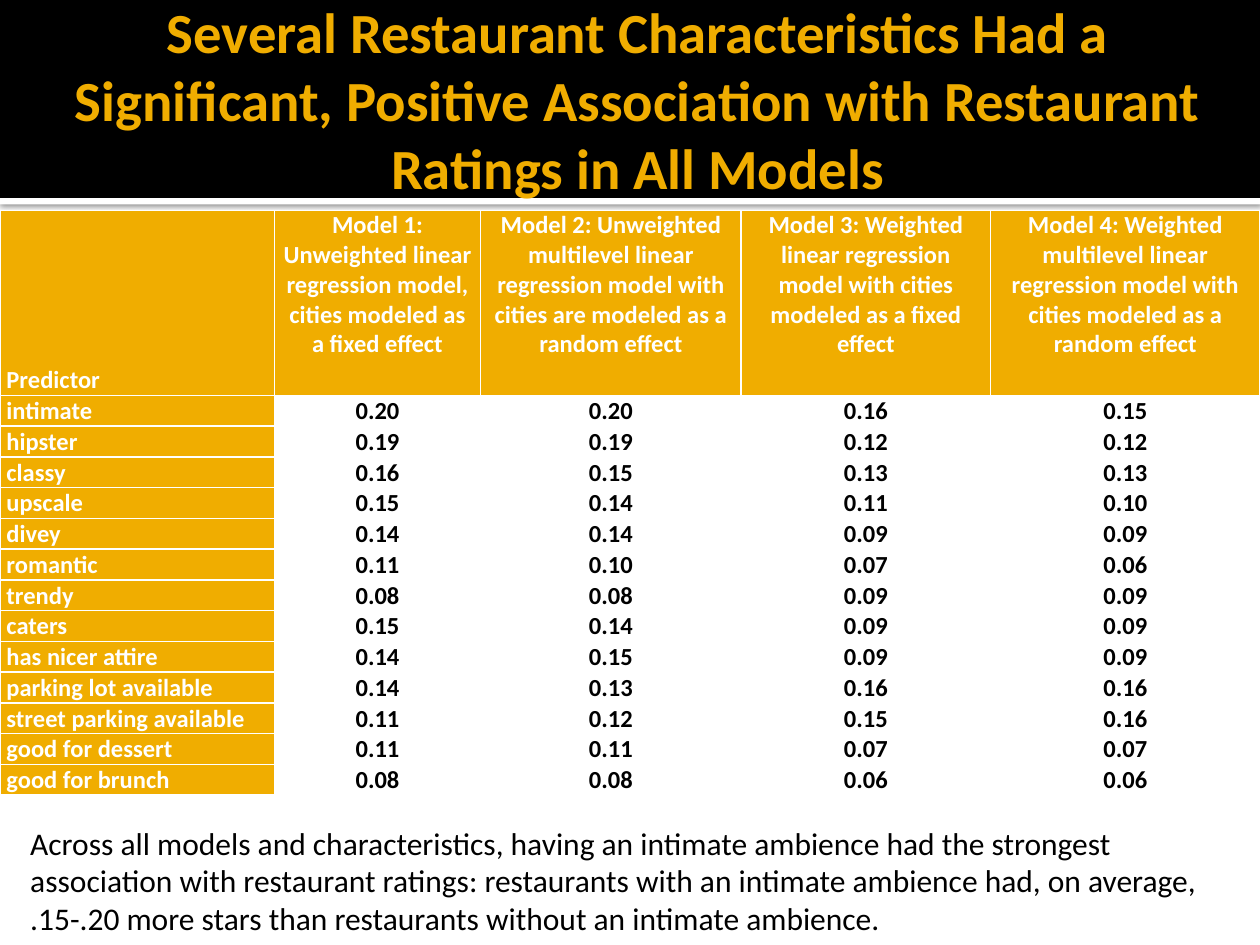
import pptx
import pptx.util
import pptx.dml.color
import pptx.enum.shapes
import pptx.enum.text
import pptx.oxml
import pptx.oxml.ns

Cm = pptx.util.Cm
ALIGN = pptx.enum.text.PP_ALIGN
ANCHOR = pptx.enum.text.MSO_ANCHOR
COLOURS = {"gold": "F0AD00", "black": "000000", "white": "FFFFFF"}


def colour(name):
    return pptx.dml.color.RGBColor.from_string(COLOURS[name])


def write(frame, text, size=14, ink="black", bold=False, align=ALIGN.LEFT):
    frame.word_wrap = True
    para = frame.paragraphs[0]
    para.alignment = align
    span = para.add_run()
    span.text = text
    span.font.name = "Calibri"
    span.font.size = pptx.util.Pt(size)
    span.font.bold = bold
    span.font.color.rgb = colour(ink)


deck = pptx.Presentation()
deck.slide_width, deck.slide_height = Cm(25.4), Cm(19.05)
page = deck.slides.add_slide(deck.slide_layouts[6])

# Title band, with a thin shadowed white strip below it
bands = []
for top, height, fill in [(3.99, 0.13, "white"), (0, 3.99, "black")]:
    band = page.shapes.add_shape(
        pptx.enum.shapes.MSO_SHAPE.RECTANGLE, 0, Cm(top), deck.slide_width, Cm(height))
    band.shadow.inherit = False
    band.fill.solid()
    band.fill.fore_color.rgb = colour(fill)
    band.line.fill.background()
    bands.append(band)

effects = bands[0].fill._xPr.find(pptx.oxml.ns.qn("a:effectLst"))
effects.append(pptx.oxml.parse_xml(
    f'<a:outerShdw {pptx.oxml.ns.nsdecls("a")} blurRad="31750" dist="10160" dir="5400000">'
    f'<a:srgbClr val="{COLOURS["black"]}"><a:alpha val="60000"/></a:srgbClr></a:outerShdw>'))

# Title
title = page.shapes.add_textbox(Cm(0.41), Cm(0.08), Cm(24.77), Cm(3.81))
title.text_frame.vertical_anchor = ANCHOR.MIDDLE
title.text_frame.margin_right = Cm(0.13)
write(title.text_frame,
      "Several Restaurant Characteristics Had a Significant, Positive Association "
      "with Restaurant Ratings in All Models",
      size=32.4, ink="gold", bold=True, align=ALIGN.CENTER)

# Table of coefficients
rows = [
    ("Predictor",
     "Model 1: Unweighted linear regression model, cities modeled as a fixed effect",
     "Model 2: Unweighted multilevel linear regression model with cities are modeled as a random effect",
     "Model 3: Weighted linear regression model with cities modeled as a fixed effect",
     "Model 4: Weighted multilevel linear regression model with cities modeled as a random effect"),
    ("intimate", "0.20", "0.20", "0.16", "0.15"),
    ("hipster", "0.19", "0.19", "0.12", "0.12"),
    ("classy", "0.16", "0.15", "0.13", "0.13"),
    ("upscale", "0.15", "0.14", "0.11", "0.10"),
    ("divey", "0.14", "0.14", "0.09", "0.09"),
    ("romantic", "0.11", "0.10", "0.07", "0.06"),
    ("trendy", "0.08", "0.08", "0.09", "0.09"),
    ("caters", "0.15", "0.14", "0.09", "0.09"),
    ("has nicer attire", "0.14", "0.15", "0.09", "0.09"),
    ("parking lot available", "0.14", "0.13", "0.16", "0.16"),
    ("street parking available", "0.11", "0.12", "0.15", "0.16"),
    ("good for dessert", "0.11", "0.11", "0.07", "0.07"),
    ("good for brunch", "0.08", "0.08", "0.06", "0.06"),
]
widths = [5.53, 4.16, 5.25, 5.03, 5.43]
heights = [3.73] + [0.62] * (len(rows) - 1)
table = page.shapes.add_table(
    len(rows), len(widths), 0, Cm(4.24), Cm(sum(widths)), Cm(sum(heights))).table
table.horz_banding = False
table.first_col = True
for column, width in zip(table.columns, widths):
    column.width = Cm(width)

for r, (values, height) in enumerate(zip(rows, heights)):
    table.rows[r].height = Cm(height)
    for c, value in enumerate(values):
        cell = table.cell(r, c)
        cell.margin_left = cell.margin_right = Cm(0.13)
        cell.margin_top = cell.margin_bottom = 0
        heading = r == 0 or c == 0
        if heading:
            cell.fill.solid()
            cell.fill.fore_color.rgb = colour("gold")
        else:
            cell.fill.background()
        cell.vertical_anchor = ANCHOR.TOP if r == 0 and c > 0 else ANCHOR.BOTTOM
        write(cell.text_frame, value, bold=True,
              ink="white" if heading else "black",
              align=ALIGN.CENTER if c else ALIGN.LEFT)

# Takeaway
takeaway = page.shapes.add_textbox(Cm(0.36), Cm(16.48), Cm(24.56), Cm(2.57))
write(takeaway.text_frame,
      "Across all models and characteristics, having an intimate ambience had the strongest "
      "association with restaurant ratings: restaurants with an intimate ambience had, on average, "
      ".15-.20 more stars than restaurants without an intimate ambience.",
      size=18)

deck.save("out.pptx")
